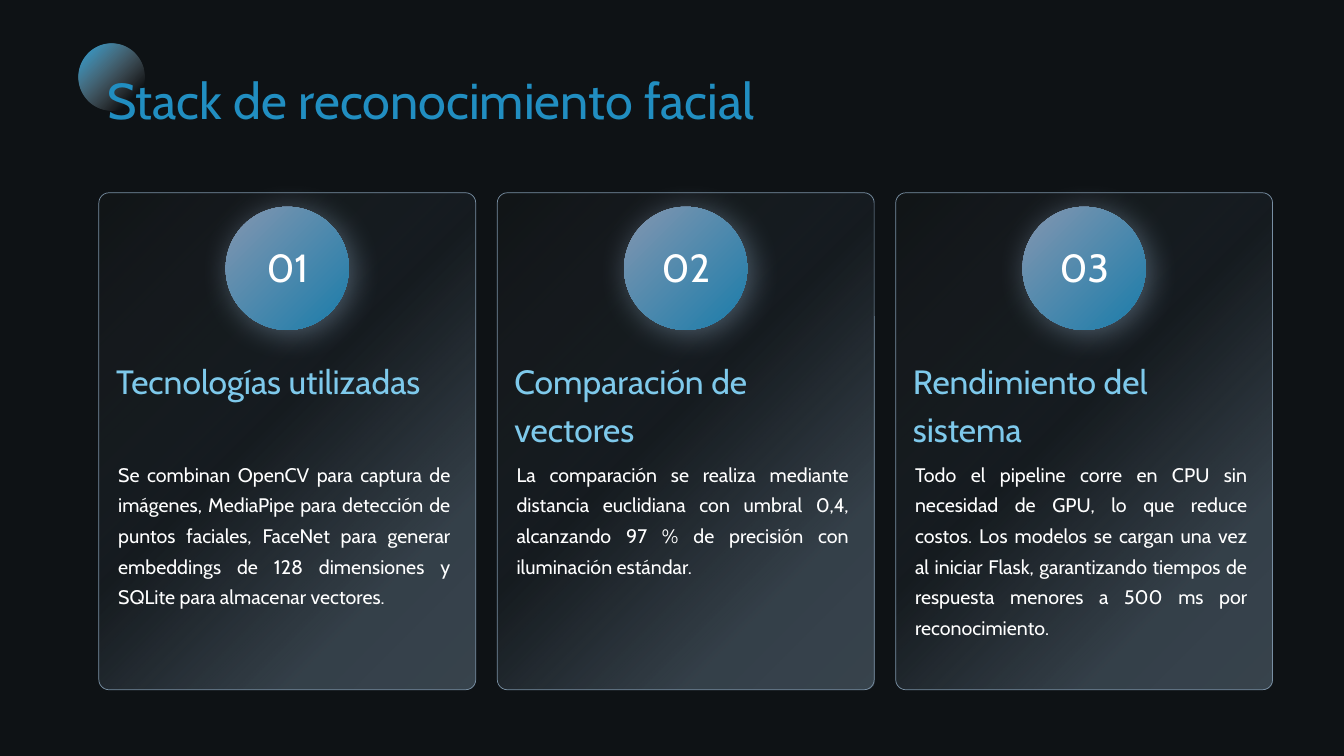
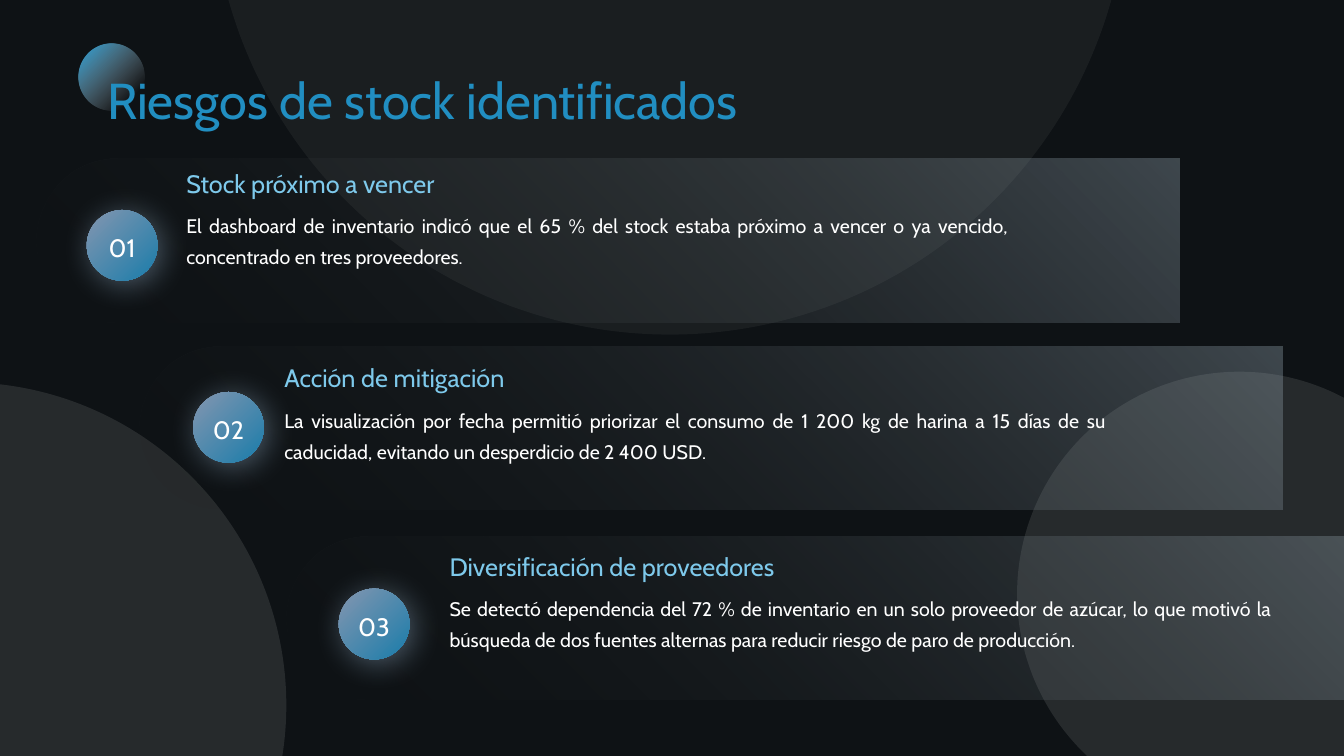
"""Build two dark slides: numbered cards and numbered bands."""
from dataclasses import dataclass

from lxml import etree
from pptx import Presentation
from pptx import util as u
from pptx.dml import color
from pptx.enum import shapes, text
from pptx.oxml import ns

FONT = "Cabin"
BACK, TITLE, HEAD, WHITE, STEEL = "0E1215", "218EC1", "7EC9EB", "FFFFFF", "788FA3"
BADGE_STOPS = [(0, "8496B0", 100), (100, "1A7CAA", 100)]
DOT_STOPS = [(0, "28A4DE", 100), (81, "C5C9CE", 0), (100, "C5C9CE", 0)]
CARD_STOPS = [(0, STEEL, 39), (22, STEEL, 36), (54, STEEL, 7), (100, "232322", 15)]
BAND_STOPS = [(0, "A4B6C2", 33), (100, "232322", 0)]
LEFT, CENTER, JUSTIFY = text.PP_ALIGN.LEFT, text.PP_ALIGN.CENTER, text.PP_ALIGN.JUSTIFY
OVAL = shapes.MSO_SHAPE.OVAL


@dataclass(frozen=True)
class Box:
    """A rectangle in points."""
    left: float
    top: float
    width: float
    height: float

    def lengths(self) -> list:
        """Return the four sides as lengths."""
        return [u.Pt(v) for v in (self.left, self.top, self.width, self.height)]


@dataclass(frozen=True)
class Style:
    """The look of a paragraph."""
    size: float
    color: str
    spacing: float = 1.0
    align: text.PP_ALIGN = LEFT


@dataclass(frozen=True)
class Item:
    """A heading with its explanation."""
    head: str
    body: str


@dataclass(frozen=True)
class Row:
    """A band, its badge and its text, by their top left corners."""
    item: Item
    band: tuple[float, float]
    badge: tuple[float, float]
    words: tuple[float, float]


TITLE_STYLE = Style(36, TITLE, 1.2)
BODY_STYLE = Style(14, WHITE, 1.3, JUSTIFY)

CARDS = [
    Item("Tecnologías utilizadas",
         "Se combinan OpenCV para captura de imágenes, MediaPipe para detección de puntos "
         "faciales, FaceNet para generar embeddings de 128 dimensiones y SQLite para "
         "almacenar vectores."),
    Item("Comparación de vectores",
         "La comparación se realiza mediante distancia euclidiana con umbral 0,4, "
         "alcanzando 97 % de precisión con iluminación estándar."),
    Item("Rendimiento del sistema",
         "Todo el pipeline corre en CPU sin necesidad de GPU, lo que reduce costos. Los "
         "modelos se cargan una vez al iniciar Flask, garantizando tiempos de respuesta "
         "menores a 500 ms por reconocimiento."),
]
ROWS = [
    Row(Item("Stock próximo a vencer",
             "El dashboard de inventario indicó que el 65 % del stock estaba próximo a "
             "vencer o ya vencido, concentrado en tres proveedores."),
        (26, 113.5), (62, 150), (129.5, 116.5)),
    Row(Item("Acción de mitigación",
             "La visualización por fecha permitió priorizar el consumo de 1 200 kg de harina "
             "a 15 días de su caducidad, evitando un desperdicio de 2 400 USD."),
        (99.5, 247.5), (138, 280), (199.5, 255.5)),
    Row(Item("Diversificación de proveedores",
             "Se detectó dependencia del 72 % de inventario en un solo proveedor de azúcar, "
             "lo que motivó la búsqueda de dos fuentes alternas para reducir riesgo de paro "
             "de producción."),
        (204.5, 383), (242, 420.5), (317.5, 390)),
]
HALOS = [(Box(151, -416, 655, 655), 5), (Box(-257, 273, 461.5, 461.5), 10),
         (Box(726.5, 265.5, 317.5, 317.5), 10)]


def rgb(value: str) -> color.RGBColor:
    """Turn a hex string into a colour."""
    return color.RGBColor.from_string(value)


def add_node(parent, tag: str, **attrs):
    """Append a drawing element to a parent."""
    node = etree.SubElement(parent, ns.qn(f"a:{tag}"))
    for name, value in attrs.items():
        node.set(name, str(value))
    return node


def add_color(parent, value: str, alpha: float) -> None:
    """Append a colour with its opacity in percent."""
    add_node(add_node(parent, "srgbClr", val=rgb(value)), "alpha", val=int(alpha * 1000))


def fill_gradient(sp, stops: list, angle: float | None) -> None:
    """Fill a shape along an angle, or outward from its top right corner."""
    sp.fill.gradient()
    grad = sp.element.spPr.find(ns.qn("a:gradFill"))
    for child in list(grad):
        grad.remove(child)
    stop_list = add_node(grad, "gsLst")
    for pos, value, alpha in stops:
        add_color(add_node(stop_list, "gs", pos=pos * 1000), value, alpha)
    if angle is not None:
        add_node(grad, "lin", ang=int(angle * 60000), scaled=0)
    else:
        route = add_node(grad, "path", path="circle")
        add_node(route, "fillToRect", l=100000, b=100000)


def add_plain(slide, kind, box: Box):
    """Add a shape with neither line nor shadow."""
    sp = slide.shapes.add_shape(kind, *box.lengths())
    sp.shadow.inherit = False
    sp.line.fill.background()
    return sp


def write(sp, words: str, style: Style, inset: float = 0) -> None:
    """Write one paragraph from the top of a shape."""
    tf = sp.text_frame
    tf.word_wrap = True
    tf.auto_size = text.MSO_AUTO_SIZE.NONE
    tf.vertical_anchor = text.MSO_ANCHOR.TOP
    tf.margin_left = tf.margin_top = tf.margin_right = tf.margin_bottom = u.Pt(inset)
    p = tf.paragraphs[0]
    p.alignment, p.line_spacing = style.align, style.spacing
    p.space_before = u.Pt(0)
    r = p.add_run()
    r.text = words
    r.font.name, r.font.size = FONT, u.Pt(style.size)
    r.font.color.rgb = rgb(style.color)


def add_text(slide, box: Box, words: str, style: Style, inset: float = 0) -> None:
    """Add a text box."""
    write(slide.shapes.add_textbox(*box.lengths()), words, style, inset)


def add_badge(slide, circle: Box, label: Box, number: int, style: Style) -> None:
    """Add a glowing circle with a two-digit number."""
    sp = add_plain(slide, OVAL, circle)
    fill_gradient(sp, BADGE_STOPS, 45)
    effects = sp.element.spPr.find(ns.qn("a:effectLst"))
    glow = add_node(effects, "outerShdw", blurRad=u.Pt(22.9), dist=u.Pt(4),
                    dir=45 * 60000, algn="tl", rotWithShape=0)
    add_color(glow, STEEL, 60)
    add_text(slide, label, f"{number:02d}", style)


def add_title(slide, words: str) -> None:
    """Place the accent dot and the title above everything else."""
    dot = add_plain(slide, OVAL, Box(56, 31.5, 47.5, 47.5))
    fill_gradient(dot, DOT_STOPS, 45)
    sp = slide.shapes.title
    sp.left, sp.top, sp.width, sp.height = Box(76.5, 40.5, 828.5, 52).lengths()
    write(sp, words, TITLE_STYLE)
    dot.element.addnext(sp.element)


def add_card(slide, index: int, item: Item) -> None:
    """Add one numbered card of the row."""
    left = 70.6 + index * 284.6
    sp = add_plain(slide, shapes.MSO_SHAPE.ROUNDED_RECTANGLE, Box(left, 137.7, 269.2, 355))
    sp.adjustments[0] = 0.027
    fill_gradient(sp, CARD_STOPS, 225)
    sp.line.color.rgb = rgb(STEEL)
    sp.line.width = u.Pt(0.5)
    add_text(slide, Box(left + 12.3, 252, 241, 91.5), item.head, Style(24, HEAD, 1.2))
    add_text(slide, Box(left + 13.8, 325.5, 237.5, 151), item.body, BODY_STYLE)
    add_badge(slide, Box(left + 90.6, 147.7, 88, 88), Box(left + 89, 173.5, 91.5, 34),
              index + 1, Style(28, WHITE, align=CENTER))


def add_band(slide, left: float, top: float) -> None:
    """Add a band whose rounded end points left."""
    length, depth = 816.5, 116.6
    shift = (length - depth) / 2
    sp = add_plain(slide, shapes.MSO_SHAPE.ROUND_2_SAME_RECTANGLE,
                   Box(left + shift, top - shift, depth, length))
    sp.adjustments[0], sp.adjustments[1] = 0.5, 0
    sp.rotation = 270
    fill_gradient(sp, BAND_STOPS, None)


def add_row(slide, number: int, row: Row) -> None:
    """Add one numbered band with its text."""
    add_band(slide, *row.band)
    x, y = row.badge
    add_badge(slide, Box(x, y, 50.5, 50.5), Box(x - 1, y + 14, 52.5, 23), number,
              Style(18, WHITE, 1.1, CENTER))
    x, y = row.words
    add_text(slide, Box(x, y, 329, 29), row.item.head, Style(18, HEAD), 3.6)
    add_text(slide, Box(x, y + 28, 594.5, 73.5), row.item.body, BODY_STYLE, 3.6)


def add_halo(slide, box: Box, alpha: float) -> None:
    """Add a large faint circle."""
    sp = add_plain(slide, OVAL, box)
    sp.fill.solid()
    sp.fill.fore_color.rgb = rgb(WHITE)
    clr = sp.element.spPr.find(ns.qn("a:solidFill"))[0]
    add_node(clr, "alpha", val=alpha * 1000)


def main() -> None:
    """Build and save the presentation."""
    prs = Presentation()
    prs.slide_width, prs.slide_height = u.Pt(960), u.Pt(540)
    back = prs.slide_master.background.fill
    back.solid()
    back.fore_color.rgb = rgb(BACK)
    layout = prs.slide_layouts.get_by_name("Title Only")

    slide = prs.slides.add_slide(layout)
    for index, item in enumerate(CARDS):
        add_card(slide, index, item)
    add_title(slide, "Stack de reconocimiento facial")

    slide = prs.slides.add_slide(layout)
    for box, alpha in HALOS:
        add_halo(slide, box, alpha)
    for number, row in enumerate(ROWS, 1):
        add_row(slide, number, row)
    add_title(slide, "Riesgos de stock identificados")

    prs.save("out.pptx")


if __name__ == "__main__":
    main()
